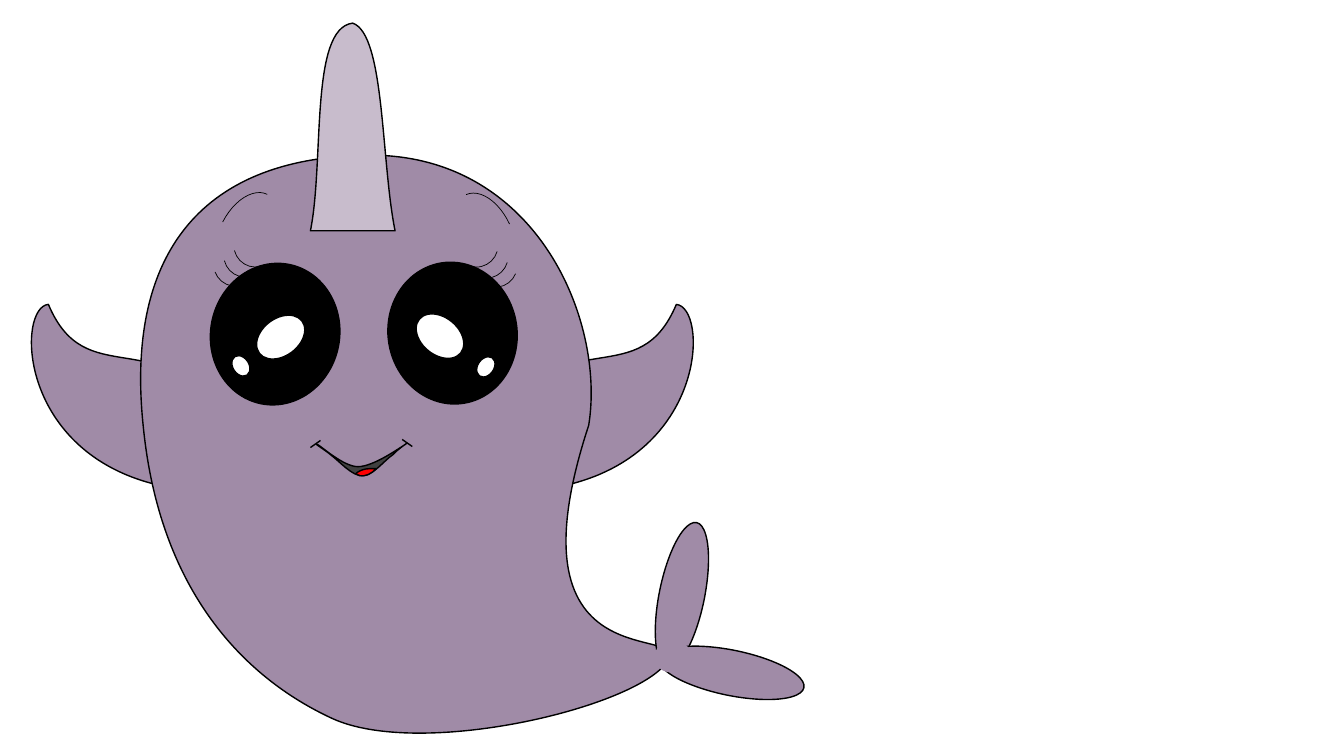
from math import cos, radians, sin

from lxml.etree import SubElement
from pptx import Presentation
from pptx.dml.color import RGBColor
from pptx.enum.shapes import MSO_SHAPE
from pptx.util import Inches, Pt

PX = 9144  # EMU in one px, 100 px to the inch
A = "{http://schemas.openxmlformats.org/drawingml/2006/main}"
COLOURS = {
    "skin": "A08BA7", "horn": "C8BCCC", "ink": "000000",
    "shine": "FFFFFF", "mouth": "404040", "tongue": "FF0000",
}


class Drawing:
    """Holds the style, the current slide and the group being drawn."""

    def __init__(self, page):
        self.page = page
        self.group = page.shapes.add_group_shape()

    def style(self, shape, fill, width, turn):
        if fill:
            shape.fill.solid()
            shape.fill.fore_color.rgb = RGBColor.from_string(COLOURS[fill])
        else:
            shape.fill.background()
        if width:
            shape.line.color.rgb = RGBColor.from_string(COLOURS["ink"])
            shape.line.width = Pt(width)
        else:
            shape.line.fill.background()
        shape.shadow.inherit = False
        shape.rotation = turn % 360

    def preset(self, kind, box, turn, fill=None, width=1.0, flip=None):
        shape = self.group.shapes.add_shape(kind, *(side * PX for side in box))
        self.style(shape, fill, width, turn)
        if flip:
            shape.element.spPr.find(A + "xfrm").set(flip, "1")

    def outline(self, box, start, segments, fill=None, turn=0, closed=True):
        """Segments hold one end point, or two handles and an end point."""
        ends = [(x * PX, y * PX) for *_, x, y in segments]
        builder = self.group.shapes.build_freeform(start[0] * PX, start[1] * PX, scale=1.0)
        builder.add_line_segments(ends, close=closed)
        shape = builder.convert_to_shape()
        self.style(shape, fill, 1.0, turn)
        for name, value in zip(("left", "top", "width", "height"), box):
            setattr(shape, name, value * PX)

        # Bend the sides, in the box's own frame
        trail = shape.element.spPr.find(f".//{A}path")
        trail.clear()
        trail.set("w", str(box[2] * PX))
        trail.set("h", str(box[3] * PX))
        for segment in [start] + segments:
            if len(trail) == 0:
                kind = "moveTo"
            else:
                kind = "lnTo" if len(segment) == 2 else "cubicBezTo"
            side = SubElement(trail, A + kind)
            for x, y in zip(segment[::2], segment[1::2]):
                x, y = to_frame(x, y, box, turn)
                SubElement(side, A + "pt", x=str(round(x * PX)), y=str(round(y * PX)))
        if closed:
            SubElement(trail, A + "close")


def to_frame(x, y, box, turn):
    """Turn a slide point back into the frame of a turned box."""
    left, top, width, height = box
    across, down = x - left - width / 2, y - top - height / 2
    c, s = cos(radians(turn)), sin(radians(turn))
    return across * c + down * s + width / 2, down * c - across * s + height / 2


def mirror(values, total):
    """Reflect the x of every x, y pair; total is twice the axis."""
    return tuple(total - v if i % 2 == 0 else v for i, v in enumerate(values))


FIN_START = (48, 302)
FIN = [(85, 390, 154, 319, 226, 413), (152, 480), (17, 445, 17, 305, 48, 302)]
FIN_MIRROR = 719
FIN_TURN = 62.2

BODY = [
    (125, 258, 194, 157, 363, 154), (531, 151, 601, 317, 584, 422),
    (496, 689, 697, 614, 660, 659), (623, 704, 416, 752, 330, 713),
    (243, 673, 158, 587, 142, 422),
]
HORN = [(322, 160, 307, 28, 350, 23), (382, 34, 378, 160, 392, 229), (308, 229)]

# kind, size, right place, left place, right turn, fill, line width
OVAL, ARC = MSO_SHAPE.OVAL, MSO_SHAPE.ARC
EYE = [
    (OVAL, (128, 141), (385, 260), (209, 261), 350.6, "ink", 1),
    (ARC, (43, 43), (451, 222), (232, 222), 106.2, None, 0.5),
    (ARC, (43, 43), (461, 233), (222, 232), 106.2, None, 0.5),
    (ARC, (43, 43), (470, 242), (212, 241), 112.3, None, 0.5),
    (OVAL, (53, 37), (410, 315), (252, 316), 39.4, "shine", 1),
    (OVAL, (22, 16), (471, 356), (228, 355), 305.3, "shine", 1),
    (ARC, (54, 89), (454, 189), (218, 188), 335.4, None, 0.5),
]
LEFT_TILT = 2.3

# box, turn, line width, flip
TAIL = [
    ((654, 517, 45, 147), 11.4, 1, None),
    ((703, 594, 45, 147), 101.5, 1, None),
    ((651, 633, 32, 36), 254.4, 0, "flipV"),
]

MOUTH = [
    (319, 443, 341, 463, 355, 463), (370, 463, 394, 446, 402, 441),
    (409, 436, 394, 446, 390, 451), (382, 456, 370, 472, 360, 472),
    (350, 473, 337, 458, 329, 452), (322, 446, 310, 439, 315, 441),
]
TONGUE = [
    (369, 465, 371, 465, 373, 465), (370, 468),
    (367, 470, 364, 472, 361, 472), (360, 472, 359, 472, 357, 472),
    (353, 470), (354, 469), (357, 467, 361, 465, 367, 465),
]


def main():
    deck = Presentation()
    deck.slide_width, deck.slide_height = Inches(13.333), Inches(7.5)
    drawing = Drawing(deck.slides.add_slide(deck.slide_layouts[6]))

    # Fins, body and horn
    drawing.outline((18, 303, 207, 153), FIN_START, FIN, "skin", FIN_TURN)
    drawing.outline((493, 302, 207, 153), mirror(FIN_START, FIN_MIRROR),
                    [mirror(segment, FIN_MIRROR) for segment in FIN],
                    "skin", -FIN_TURN)
    drawing.outline((139, 154, 525, 573), (142, 422), BODY, "skin")
    drawing.outline((308, 23, 83, 206), (308, 229), HORN, "horn")

    # Eyes with lashes and brows, right then left
    for kind, size, right, left, turn, fill, width in EYE:
        drawing.preset(kind, right + size, turn, fill, width)
    for kind, size, right, left, turn, fill, width in EYE:
        drawing.preset(kind, left + size, LEFT_TILT - turn, fill, width, "flipH")

    # Tail flukes and the patch that joins them to the body
    for box, turn, width, flip in TAIL:
        drawing.preset(OVAL, box, turn, "skin", width, flip)

    # Mouth between its two corners
    drawing.outline((308, 437, 10, 7), (318, 437), [(308, 444)], closed=False)
    drawing.outline((314, 440, 90, 33), (315, 441), MOUTH, "mouth")
    drawing.outline((353, 465, 20, 7), (367, 465), TONGUE, "tongue", 356.2)
    drawing.outline((399, 436, 10, 7), (399, 436), [(409, 443)], closed=False)

    deck.save("out.pptx")


if __name__ == "__main__":
    main()
